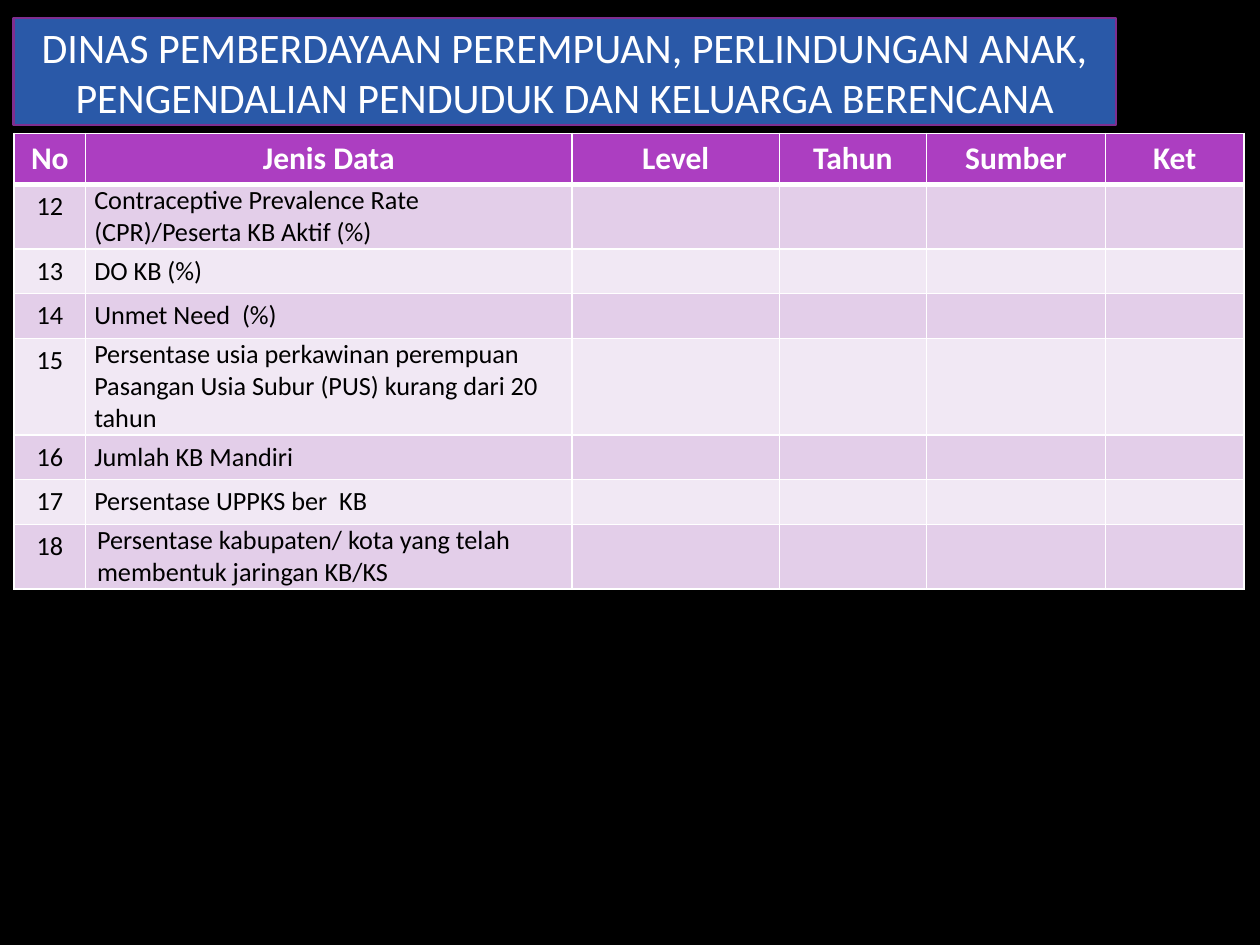
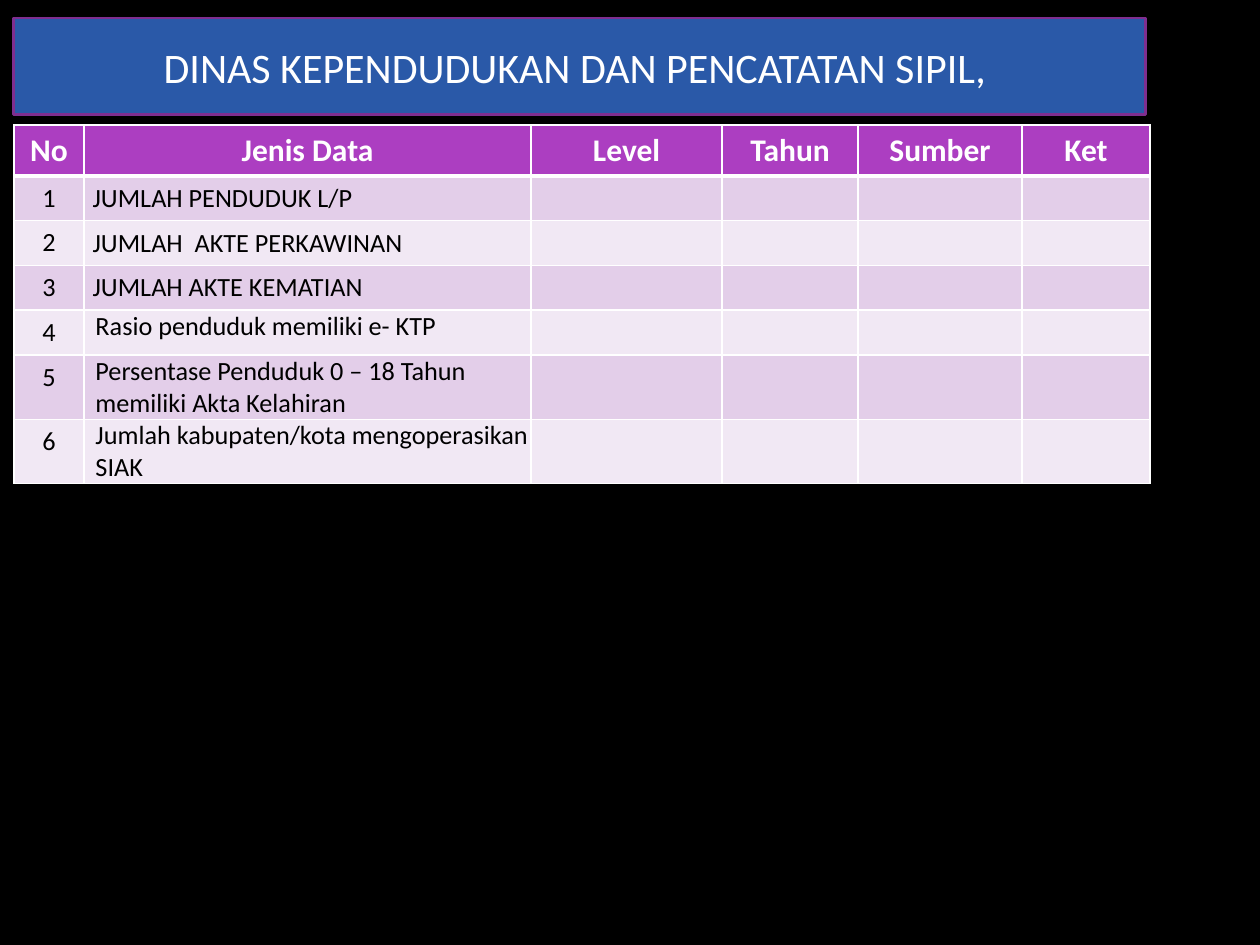
from dataclasses import dataclass

from lxml import etree
from pptx import Presentation
from pptx.dml.color import RGBColor
from pptx.enum.text import MSO_ANCHOR, MSO_AUTO_SIZE, PP_ALIGN
from pptx.oxml.ns import qn
from pptx.util import Pt

CENTER, LEFT = PP_ALIGN.CENTER, PP_ALIGN.LEFT
TOP, MIDDLE = MSO_ANCHOR.TOP, MSO_ANCHOR.MIDDLE
NO_FIT = MSO_AUTO_SIZE.NONE


@dataclass(frozen=True)
class Theme:
    font: str = "Calibri"
    back: str = "000000"
    band: str = "2A59A8"
    edge: str = "7F2E8F"
    head: str = "AC3EC1"
    dark: str = "E3CEE9"
    pale: str = "F1E8F4"
    white: str = "FFFFFF"
    black: str = "000000"
    title: float = 24
    label: float = 18
    body: float = 15


T = Theme()
HEADS = ["No", "Jenis Data", "Level", "Tahun", "Sumber", "Ket"]
HEAD_H, ROW_H, LINE_H = 29.2, 25.6, 18.3

# Cell formats: centred, spaced label and indented label
MID = {"cell": {"vertical_anchor": TOP}, "para": {"alignment": CENTER}}
SPACED = {
    "cell": {"vertical_anchor": MIDDLE, "margin_left": Pt(4.9),
             "margin_right": Pt(4.9), "margin_top": 0, "margin_bottom": 0},
    "para": {"alignment": LEFT, "space_before": Pt(4.8),
             "space_after": Pt(4.8)},
}
INDENT = {
    "cell": {"vertical_anchor": TOP, "margin_left": Pt(6.5),
             "margin_right": 0, "margin_top": 0, "margin_bottom": 0},
    "para": {"alignment": LEFT},
}

# Each row: label, number of lines, format
PAGES = [
    {
        "title": "DINAS PEMBERDAYAAN PEREMPUAN, PERLINDUNGAN ANAK, "
                 "PENGENDALIAN PENDUDUK DAN KELUARGA BERENCANA",
        "band": (7.7, 10.2, 630, 61.3),
        "grid": (8, 76.2),
        "cols": [41, 277.8, 118.6, 84.1, 102.2, 79.3],
        "first": 12,
        "rows": [
            ("Contraceptive Prevalence Rate (CPR)/Peserta KB Aktif (%)",
             2, SPACED),
            ("DO KB (%)", 1, SPACED),
            ("Unmet Need  (%)", 1, SPACED),
            ("Persentase usia perkawinan perempuan Pasangan Usia Subur "
             "(PUS) kurang dari 20  tahun", 3, SPACED),
            ("Jumlah KB Mandiri", 1, SPACED),
            ("Persentase UPPKS ber  KB", 1, SPACED),
            ("Persentase kabupaten/ kota yang telah membentuk jaringan "
             "KB/KS", 2, INDENT),
        ],
    },
    {
        "title": "DINAS KEPENDUDUKAN DAN PENCATATAN SIPIL, ",
        "band": (7.7, 10.2, 647, 55.4),
        "grid": (8, 71.3),
        "cols": [40.1, 255.4, 109.2, 77.7, 93.7, 73.1],
        "first": 1,
        "rows": [
            ("JUMLAH PENDUDUK L/P", 1, SPACED),
            ("JUMLAH  AKTE PERKAWINAN", 1, SPACED),
            ("JUMLAH AKTE KEMATIAN", 1, SPACED),
            ("Rasio penduduk memiliki e- KTP", 1, INDENT),
            ("Persentase Penduduk 0 – 18 Tahun memiliki Akta Kelahiran",
             2, INDENT),
            ("Jumlah kabupaten/kota mengoperasikan SIAK", 2, INDENT),
        ],
    },
]


def apply(item, values):
    for name, value in values.items():
        setattr(item, name, value)


def paint(fill, color):
    fill.solid()
    fill.fore_color.rgb = RGBColor.from_string(color)


def write(para, text, size, color, bold=False):
    run = para.add_run()
    run.text = text
    apply(run.font, {"name": T.font, "size": Pt(size), "bold": bold})
    run.font.color.rgb = RGBColor.from_string(color)


def edge(cell, side, width):
    line = etree.SubElement(cell._tc.get_or_add_tcPr(), qn(f"a:ln{side}"),
                            w=str(Pt(width)))
    fill = etree.SubElement(line, qn("a:solidFill"))
    etree.SubElement(fill, qn("a:srgbClr"), val=T.white)


def draw_band(slide, box, text):
    """Title in a rounded band."""
    band = slide.shapes.title
    apply(band, dict(zip(("left", "top", "width", "height"), map(Pt, box))))
    props = band.element.spPr
    shape = etree.Element(qn("a:prstGeom"), prst="roundRect")
    etree.SubElement(shape, qn("a:avLst"))
    props.find(qn("a:xfrm")).addnext(shape)
    paint(band.fill, T.band)
    paint(band.line.fill, T.edge)
    band.line.width = Pt(1.5)
    frame = band.text_frame
    apply(frame, {"word_wrap": True, "auto_size": NO_FIT,
                  "vertical_anchor": MIDDLE})
    para = frame.paragraphs[0]
    para.alignment = CENTER
    write(para, text, T.title, T.white)


def draw_cell(cell, text, form, fill, font, rules):
    for side, width in zip("LRTB", rules):
        edge(cell, side, width)
    paint(cell.fill, fill)
    apply(cell, form["cell"])
    para = cell.text_frame.paragraphs[0]
    apply(para, form["para"])
    if text:
        write(para, text, *font)
    else:
        # Keeps an empty cell as low as its row
        etree.SubElement(para._p, qn("a:endParaRPr"), sz=str(T.body * 100))


def draw_grid(slide, spot, cols, first, rows):
    """Table with a header row and numbered, banded rows."""
    highs = [HEAD_H] + [max(ROW_H, LINE_H * count) for _, count, _ in rows]
    left, top = spot
    frame = slide.shapes.add_table(len(highs), len(cols), Pt(left), Pt(top),
                                   Pt(sum(cols)), Pt(sum(highs)))
    table = frame.table
    table.horz_banding = False
    for col, wide in zip(table.columns, cols):
        col.width = Pt(wide)
    for row, high in zip(table.rows, highs):
        row.height = Pt(high)

    # Header
    for cell, text in zip(table.rows[0].cells, HEADS):
        draw_cell(cell, text, MID, T.head, (T.label, T.white, True),
                  (1, 1, 1, 3))

    # Body
    for i, (label, _, form) in enumerate(rows):
        texts = [str(first + i), label] + [""] * (len(cols) - 2)
        forms = [MID, form] + [MID] * (len(cols) - 2)
        fill = T.pale if i % 2 else T.dark
        rules = (1, 1, 1 if i else 3, 1)
        for cell, text, style in zip(table.rows[i + 1].cells, texts, forms):
            draw_cell(cell, text, style, fill, (T.body, T.black), rules)


def main():
    deck = Presentation()
    apply(deck, {"slide_width": Pt(720), "slide_height": Pt(540)})
    paint(deck.slide_master.background.fill, T.back)
    layout = deck.slide_layouts.get_by_name("Title Only")
    for page in PAGES:
        slide = deck.slides.add_slide(layout)
        draw_band(slide, page["band"], page["title"])
        draw_grid(slide, page["grid"], page["cols"], page["first"],
                  page["rows"])
    deck.save("out.pptx")


if __name__ == "__main__":
    main()
